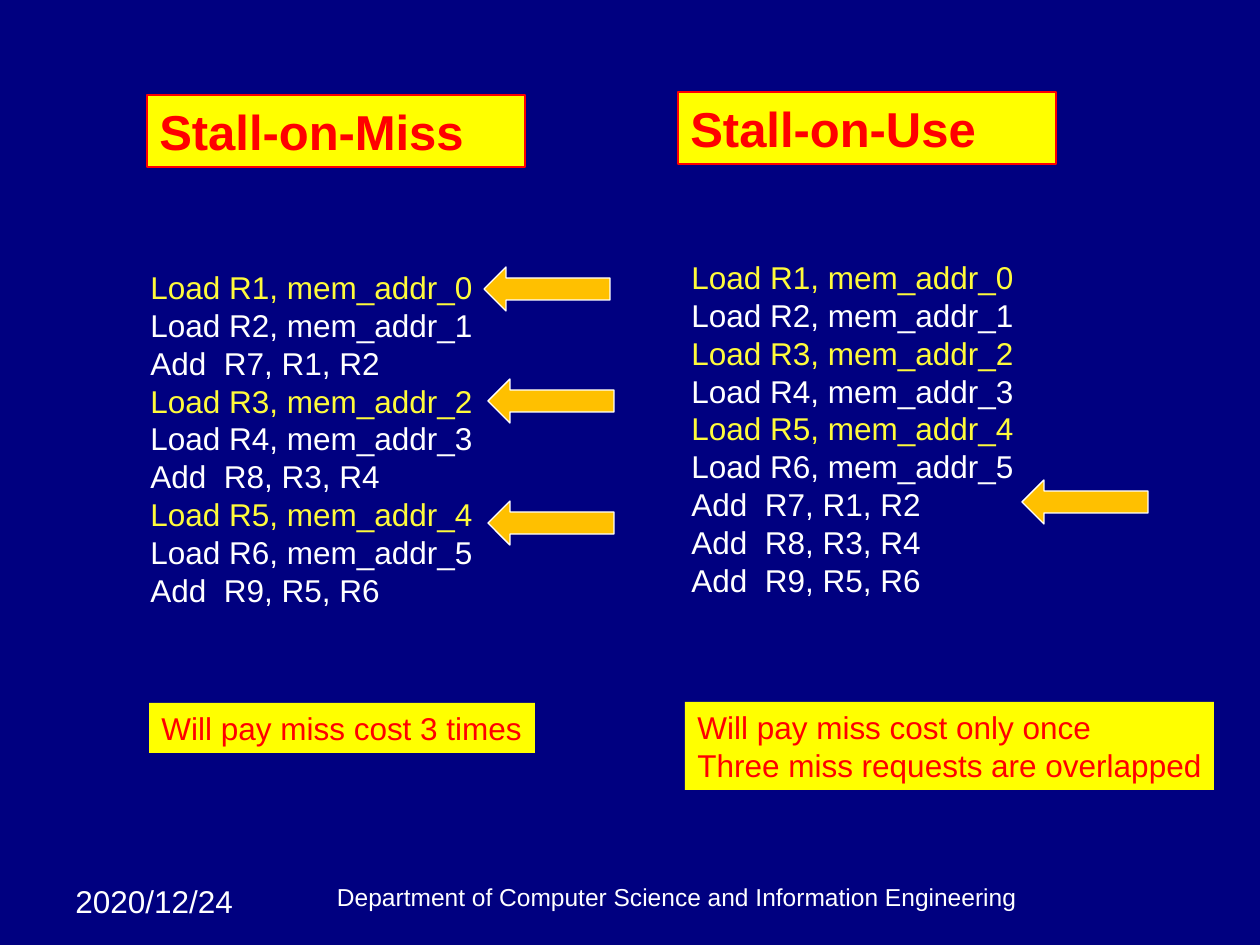
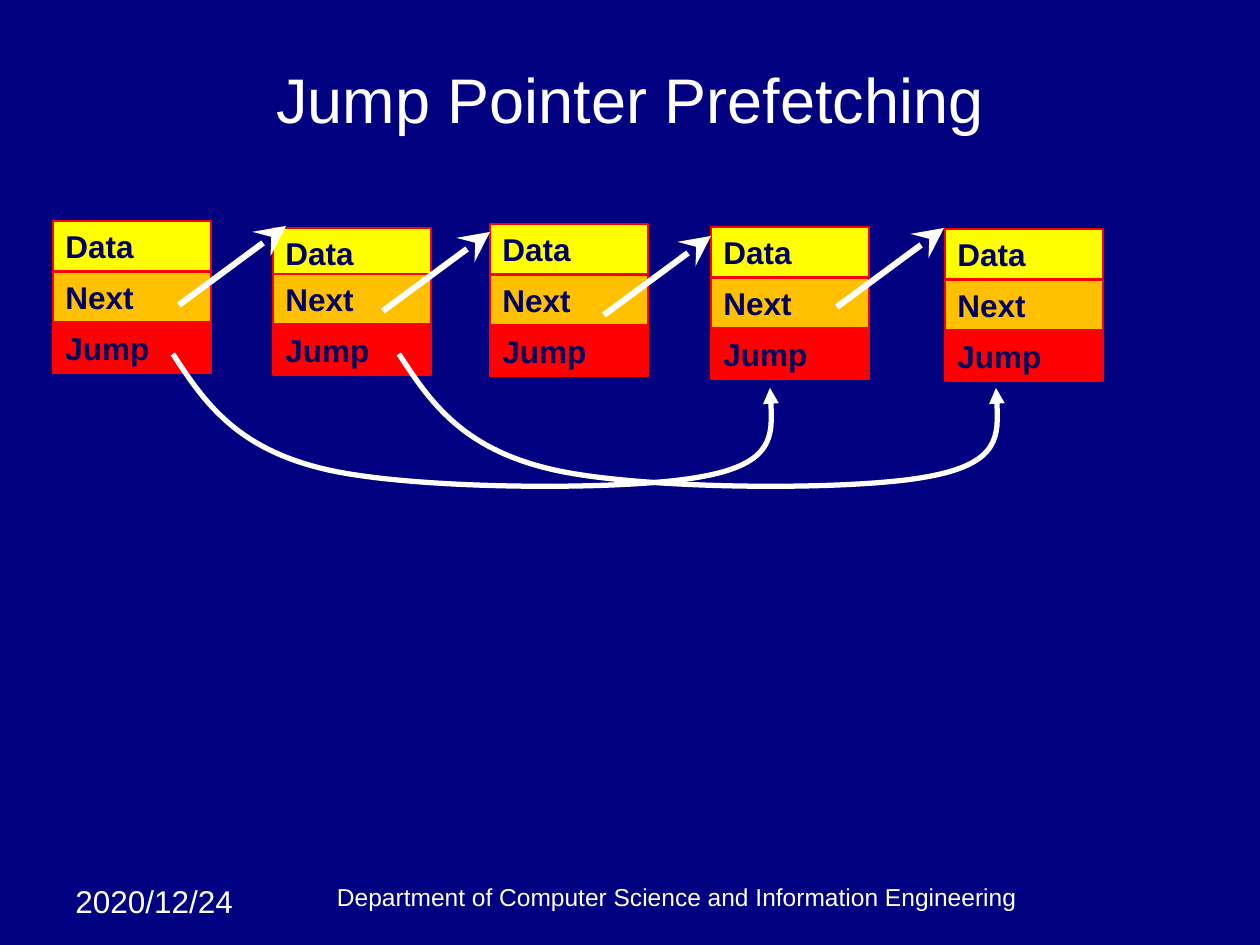
from dataclasses import dataclass

import pptx
import pptx.dml.color
import pptx.enum.shapes
import pptx.enum.text
import pptx.oxml
import pptx.oxml.ns
import pptx.util

RGBColor = pptx.dml.color.RGBColor
NAVY = RGBColor(0x00, 0x00, 0x80)
INK = RGBColor(0x00, 0x00, 0x60)
WHITE = RGBColor(0xFF, 0xFF, 0xFF)
YELLOW = RGBColor(0xFF, 0xFF, 0x00)
PALE_YELLOW = RGBColor(0xFF, 0xFB, 0x3B)
AMBER = RGBColor(0xFF, 0xC0, 0x00)
RED = RGBColor(0xFF, 0x00, 0x00)

PX_PER_INCH = 126
Anchor = pptx.enum.text.MSO_ANCHOR
Align = pptx.enum.text.PP_ALIGN
AutoSize = pptx.enum.text.MSO_AUTO_SIZE
Preset = pptx.enum.shapes.MSO_SHAPE
TITLE_ONLY, BLANK = 5, 6

GROWING = {"word_wrap": True, "auto_size": AutoSize.SHAPE_TO_FIT_TEXT,
           "vertical_anchor": Anchor.TOP}
UNWRAPPED = {**GROWING, "word_wrap": False}
FOOTER_FRAME = {"word_wrap": True, "auto_size": AutoSize.NONE,
                "vertical_anchor": Anchor.BOTTOM}
TITLE_FRAME = {**FOOTER_FRAME, "vertical_anchor": Anchor.MIDDLE}


@dataclass(frozen=True)
class Box:
    left: int
    top: int
    width: int
    height: int

    def emu(self) -> list[int]:
        return [px(n) for n in (self.left, self.top, self.width, self.height)]


@dataclass(frozen=True)
class TextStyle:
    size: int
    color: RGBColor
    bold: bool = False
    align: Align = Align.LEFT


@dataclass(frozen=True)
class Strategy:
    heading: str
    heading_box: Box
    code: list[str]
    code_box: Box
    stalls: list[tuple[int, int]]
    cost: list[str]
    cost_box: Box


@dataclass(frozen=True)
class Node:
    left: int
    top: int
    data_drop: int = 0


BODY = TextStyle(18, WHITE)
MISS = TextStyle(18, PALE_YELLOW)
COST = TextStyle(18, RED)
HEADING = TextStyle(28, RED, bold=True)
FIELD = TextStyle(18, INK, bold=True)
FOOTER = TextStyle(14, WHITE, align=Align.CENTER)
TITLE = TextStyle(36, WHITE, align=Align.CENTER)

LOADS = [f"Load R{n + 1}, mem_addr_{n}" for n in range(6)]
ADDS = [f"Add  R{n + 7}, R{2 * n + 1}, R{2 * n + 2}" for n in range(3)]
MISSES = LOADS[::2]
STRATEGIES = [
    Strategy("Stall-on-Miss", Box(147, 95, 378, 72),
             [line for n in range(3) for line in (*LOADS[2 * n:2 * n + 2], ADDS[n])],
             Box(138, 262, 347, 428),
             [(488, 501), (488, 379), (484, 267)],
             ["Will pay miss cost 3 times"], Box(149, 703, 386, 50)),
    Strategy("Stall-on-Use", Box(678, 92, 378, 72),
             LOADS + ADDS, Box(679, 252, 347, 428),
             [(1022, 480)],
             ["Will pay miss cost only once", "Three miss requests are overlapped"],
             Box(685, 702, 529, 88)),
]

FIELDS = [("Data", YELLOW), ("Next", AMBER), ("Jump", RED)]
FIELD_WIDTH, FIELD_HEIGHT, FIELD_STEP = 158, 50, 51
NODES = [Node(53, 221), Node(273, 223, data_drop=5), Node(490, 224),
         Node(711, 227), Node(945, 229)]
NEXT_STARTS = [(179, 305), (383, 311), (604, 315), (837, 307)]
NEXT_REACH = (107, -79)
JUMP_STARTS = [(173, 354), (399, 354)]
JUMP_CURVE = [(31, 48), (63, 94), (151, 115),
              (238, 136), (452, 137), (527, 123),
              (602, 110), (600, 72), (597, 34)]


def px(length: int) -> int:
    return round(length * pptx.util.Inches(1) / PX_PER_INCH)


def apply(target, values: dict) -> None:
    for name, value in values.items():
        setattr(target, name, value)


def write(shape, lines: list[tuple[str, TextStyle]], frame_format: dict) -> None:
    frame = shape.text_frame
    apply(frame, frame_format)
    for index, (line, style) in enumerate(lines):
        paragraph = frame.add_paragraph() if index else frame.paragraphs[0]
        paragraph.alignment = style.align
        run = paragraph.add_run()
        run.text = line
        apply(run.font, {"name": "Arial", "size": pptx.util.Pt(style.size),
                         "bold": style.bold})
        run.font.color.rgb = style.color


def add_text(slide, box: Box, lines: list[tuple[str, TextStyle]], frame_format: dict) -> None:
    write(slide.shapes.add_textbox(*box.emu()), lines, frame_format)


def set_line(shape, color: RGBColor, width: float) -> None:
    shape.line.color.rgb = color
    shape.line.width = pptx.util.Pt(width)


def add_filled(slide, preset: Preset, box: Box, fill: RGBColor, outline: RGBColor | None):
    shape = slide.shapes.add_shape(preset, *box.emu())
    shape.shadow.inherit = False
    shape.fill.solid()
    shape.fill.fore_color.rgb = fill
    if outline is None:
        shape.line.fill.background()
    else:
        set_line(shape, outline, 0.75)
    return shape


def add_arrowhead(shape, kind: str, size: str) -> None:
    line = shape._element.spPr.find(pptx.oxml.ns.qn("a:ln"))
    head = pptx.oxml.parse_xml(
        f'<a:tailEnd {pptx.oxml.ns.nsdecls("a")} type="{kind}" w="{size}" len="{size}"/>')
    line.append(head)


def add_next_link(slide, start: tuple[int, int]) -> None:
    end = [at + reach for at, reach in zip(start, NEXT_REACH)]
    link = slide.shapes.add_connector(
        pptx.enum.shapes.MSO_CONNECTOR.STRAIGHT, *[px(n) for n in (*start, *end)])
    set_line(link, WHITE, 3.5)
    add_arrowhead(link, "stealth", "lg")
    link._element.spPr.append(
        pptx.oxml.parse_xml(f'<a:effectLst {pptx.oxml.ns.nsdecls("a")}/>'))


def add_jump_link(slide, start: tuple[int, int]) -> None:
    left, top = start
    builder = slide.shapes.build_freeform(px(left), px(top))
    builder.add_line_segments([(px(left + x), px(top + y)) for x, y in JUMP_CURVE], close=False)
    link = builder.convert_to_shape()
    segments = list(link._element.iter(pptx.oxml.ns.qn("a:lnTo")))
    for first in range(0, len(segments), 3):
        curve = pptx.oxml.parse_xml(f'<a:cubicBezTo {pptx.oxml.ns.nsdecls("a")}/>')
        segments[first].addprevious(curve)
        for segment in segments[first:first + 3]:
            curve.append(segment[0])
            segment.getparent().remove(segment)
    link.fill.background()
    link.shadow.inherit = False
    set_line(link, WHITE, 3)
    add_arrowhead(link, "triangle", "med")


def add_slide(presentation, layout: int):
    slide = presentation.slides.add_slide(presentation.slide_layouts[layout])
    slide.background.fill.solid()
    slide.background.fill.fore_color.rgb = NAVY
    add_text(slide, Box(63, 876, 199, 50), [("2020/12/24", BODY)], GROWING)
    add_text(slide, Box(252, 876, 850, 42),
             [("Department of Computer Science and Information Engineering", FOOTER)],
             FOOTER_FRAME)
    return slide


def add_strategy(slide, strategy: Strategy) -> None:
    heading = add_filled(slide, Preset.RECTANGLE, strategy.heading_box, YELLOW, RED)
    write(heading, [(strategy.heading, HEADING)], GROWING)
    code = [(line, MISS if line in MISSES else BODY) for line in strategy.code]
    add_text(slide, strategy.code_box, code, UNWRAPPED)
    for left, top in strategy.stalls:
        add_filled(slide, Preset.LEFT_ARROW, Box(left, top, 126, 44), AMBER, WHITE)
    cost = add_filled(slide, Preset.RECTANGLE, strategy.cost_box, YELLOW, None)
    write(cost, [(line, COST) for line in strategy.cost], UNWRAPPED)


def add_node(slide, node: Node) -> None:
    for row, (label, fill) in enumerate(FIELDS):
        top = node.top + row * FIELD_STEP + (0 if row else node.data_drop)
        field = add_filled(slide, Preset.RECTANGLE,
                           Box(node.left, top, FIELD_WIDTH, FIELD_HEIGHT), fill, RED)
        write(field, [(label, FIELD)], GROWING)


def build_stall_slide(presentation) -> None:
    slide = add_slide(presentation, BLANK)
    for strategy in STRATEGIES:
        add_strategy(slide, strategy)


def build_jump_slide(presentation) -> None:
    slide = add_slide(presentation, TITLE_ONLY)
    title = slide.shapes.title
    apply(title, dict(zip(("left", "top", "width", "height"), Box(63, 38, 1134, 120).emu())))
    write(title, [("Jump Pointer Prefetching", TITLE)], TITLE_FRAME)
    for node in NODES:
        add_node(slide, node)
    for start in NEXT_STARTS:
        add_next_link(slide, start)
    for start in JUMP_STARTS:
        add_jump_link(slide, start)


def main() -> None:
    presentation = pptx.Presentation()
    apply(presentation, {"slide_width": px(1260), "slide_height": px(945)})
    build_stall_slide(presentation)
    build_jump_slide(presentation)
    presentation.save("out.pptx")


if __name__ == "__main__":
    main()
